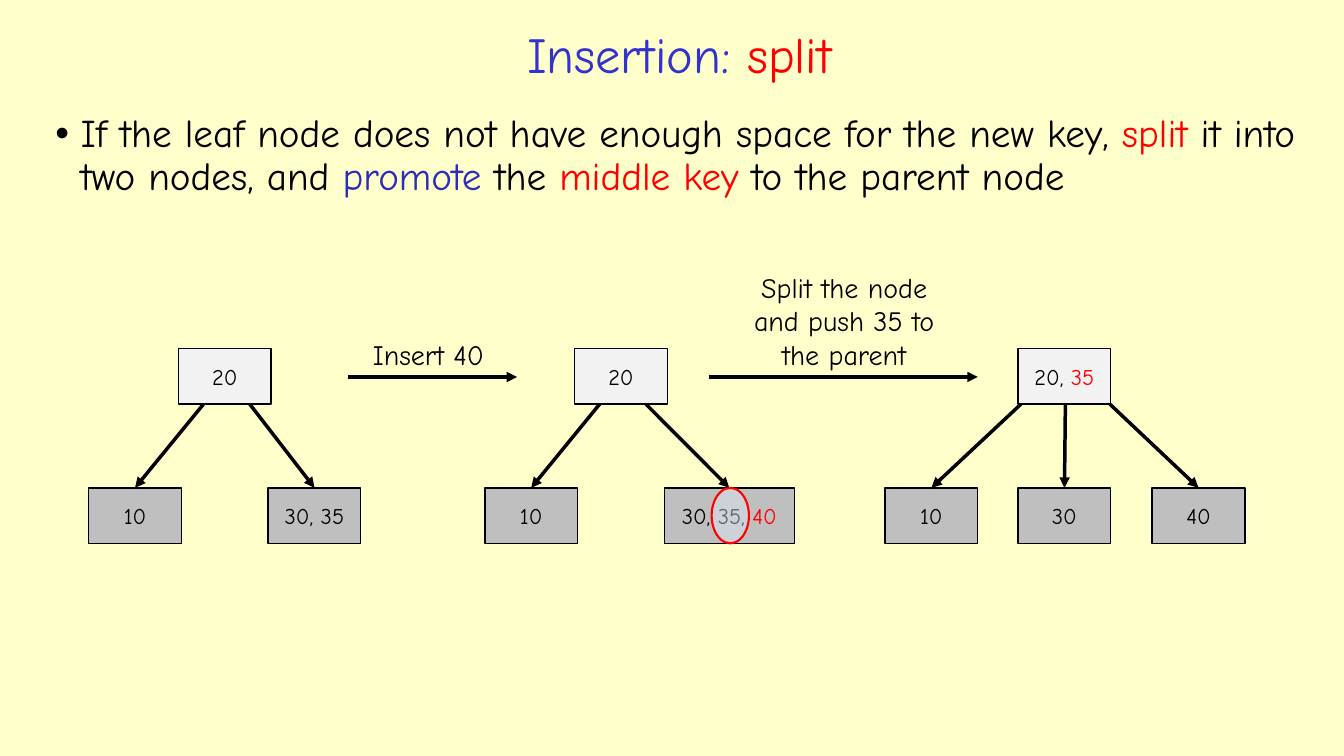
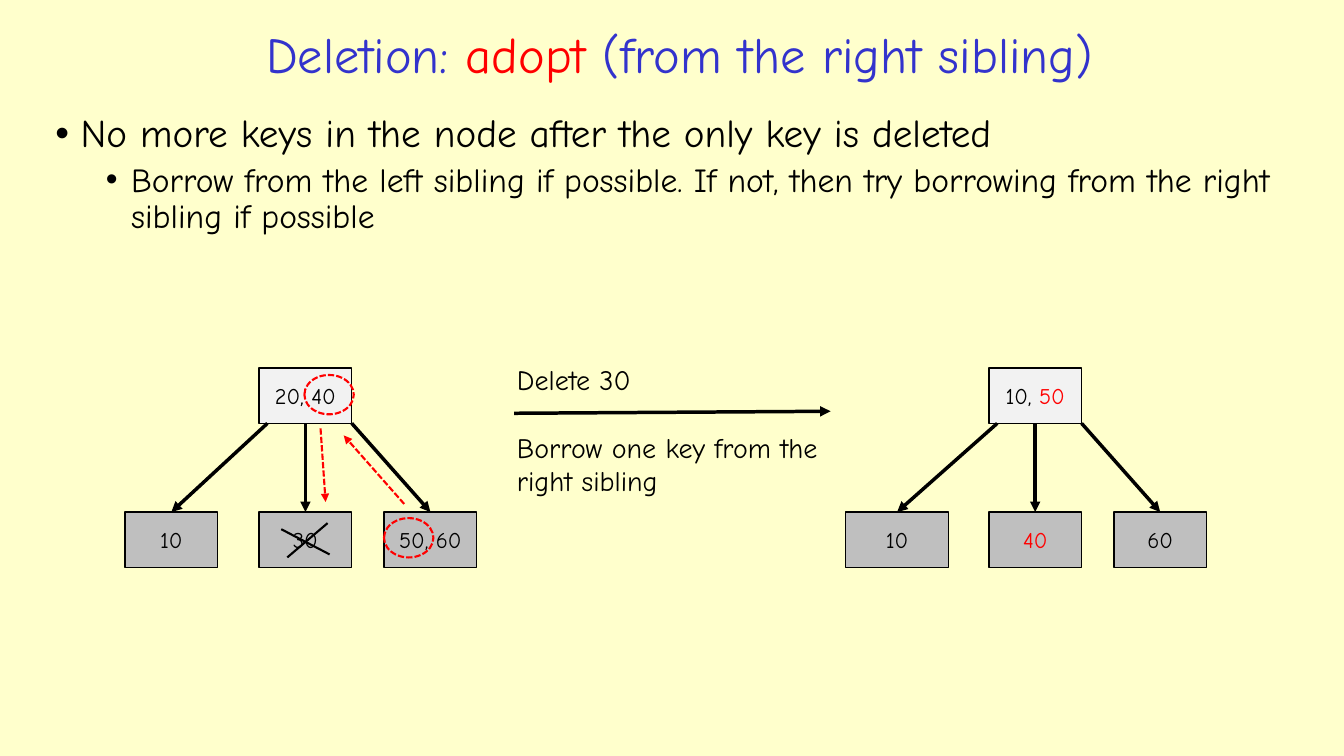
from lxml.etree import SubElement
from pptx import Presentation
from pptx.dml.color import RGBColor
from pptx.enum.dml import MSO_LINE as Dash
from pptx.enum.shapes import MSO_CONNECTOR as Link, MSO_SHAPE as Shape
from pptx.enum.text import MSO_ANCHOR as Anchor, MSO_AUTO_SIZE as Fit, PP_ALIGN as Align
from pptx.oxml.ns import qn
from pptx.util import Inches, Pt

COLOURS = {
    "paper": "FFFFCC", "ink": "000000", "title": "3333CC", "blue": "2D2DB9",
    "red": "FF0000", "root": "F2F2F2", "leaf": "BFBFBF", "veil": "DEEBF7",
}
FONT = "Comic Neue"
COLUMNS, ROWS = 133.33, 75
NODE_WIDTH, NODE_HEIGHT = 9.2, 5.5


def colour(name):
    return RGBColor.from_string(COLOURS[name])


def write(paragraph, text, size=20, ink="ink", align=Align.LEFT, before=0, spacing=1.0,
          level=0, bullet=False):
    paragraph.level = level
    paragraph.alignment = align
    paragraph.space_before = Pt(before)
    paragraph.space_after = Pt(0)
    paragraph.line_spacing = spacing
    if bullet:
        props = paragraph._p.get_or_add_pPr()
        props.set("marL", str(Inches(0.25 + 0.5 * level)))
        props.set("indent", str(Inches(-0.25)))
        SubElement(props, qn("a:buFont"), typeface="Arial")
        SubElement(props, qn("a:buChar"), char="•")
    for piece in [text] if isinstance(text, str) else text:
        words, tint = (piece, ink) if isinstance(piece, str) else piece
        run = paragraph.add_run()
        run.text = words
        run.font.name = FONT
        run.font.size = Pt(size)
        run.font.color.rgb = colour(tint)


class Lecture:
    def __init__(self):
        self.deck = Presentation()
        self.deck.slide_width, self.deck.slide_height = Inches(13.33), Inches(7.5)
        backdrop = self.deck.slide_master.background.fill
        backdrop.solid()
        backdrop.fore_color.rgb = colour("paper")
        self.slide = None

    def x(self, columns):
        return round(self.deck.slide_width * columns / COLUMNS)

    def y(self, rows):
        return round(self.deck.slide_height * rows / ROWS)

    def area(self, left, top, width, height):
        return self.x(left), self.y(top), self.x(width), self.y(height)

    def place(self, holder, *area):
        holder.left, holder.top, holder.width, holder.height = self.area(*area)
        frame = holder.text_frame
        frame.auto_size = Fit.NONE
        return frame

    def page(self, title, bullets):
        self.slide = self.deck.slides.add_slide(self.deck.slide_layouts[1])
        heading, body = self.slide.placeholders
        frame = self.place(heading, 19.7, 1.5, 95.4, 7.6)
        frame.vertical_anchor = Anchor.MIDDLE
        write(frame.paragraphs[0], title, size=36, ink="title", align=Align.CENTER)
        frame = self.place(body, 4.5, 10.8, 125.5, 15.3)
        for level, text in enumerate(bullets):
            paragraph = frame.add_paragraph() if level else frame.paragraphs[0]
            write(paragraph, text, size=28 - 4 * level, before=5 * level,
                  spacing=0.9, level=level, bullet=True)

    def label(self, area, lines, align=Align.LEFT, gap=0):
        frame = self.slide.shapes.add_textbox(*self.area(*area)).text_frame
        frame.word_wrap = True
        for index, line in enumerate(lines):
            paragraph = frame.add_paragraph() if index else frame.paragraphs[0]
            write(paragraph, line, align=align, before=gap if index else 0)

    def node(self, left, top, keys, fill, width=NODE_WIDTH):
        box = self.slide.shapes.add_shape(
            Shape.RECTANGLE, *self.area(left, top, width, NODE_HEIGHT))
        box.shadow.inherit = False
        box.fill.solid()
        box.fill.fore_color.rgb = colour(fill)
        box.line.color.rgb = colour("ink")
        box.line.width = Pt(1)
        box.text_frame.vertical_anchor = Anchor.MIDDLE
        write(box.text_frame.paragraphs[0], keys, size=16, align=Align.CENTER)

    def ring(self, *area, veiled=False):
        oval = self.slide.shapes.add_shape(Shape.OVAL, *self.area(*area))
        oval.shadow.inherit = False
        oval.line.color.rgb = colour("red")
        oval.line.width = Pt(1.5)
        if veiled:
            oval.fill.solid()
            oval.fill.fore_color.rgb = colour("veil")
            tint = oval._element.spPr.find(qn("a:solidFill"))[0]
            SubElement(tint, qn("a:alpha"), val="44000")
        else:
            oval.fill.background()
            oval.line.dash_style = Dash.SQUARE_DOT

    def line(self, start, end, ink="ink", weight=2.5, dashed=False, arrow=True):
        link = self.slide.shapes.add_connector(
            Link.STRAIGHT, self.x(start[0]), self.y(start[1]), self.x(end[0]), self.y(end[1]))
        link.line.color.rgb = colour(ink)
        link.line.width = Pt(weight)
        if dashed:
            link.line.dash_style = Dash.SQUARE_DOT
        props = link._element.spPr
        if arrow:
            SubElement(props.find(qn("a:ln")), qn("a:tailEnd"), type="triangle")
        SubElement(props, qn("a:effectLst"))

    def tree(self, left, top, leaf_top, root, exits, leaves):
        self.node(left, top, root, "root")
        for share, (leaf_left, keys, *wide) in zip(exits, leaves):
            width = wide[0] if wide else NODE_WIDTH
            self.node(leaf_left, leaf_top, keys, "leaf", width)
            self.line((left + share * NODE_WIDTH, top + NODE_HEIGHT),
                      (leaf_left + width / 2, leaf_top))


def insertion(lecture):
    lecture.page(
        ["Insertion: ", ("split", "red")],
        [["If the leaf node does not have enough space for the new key, ", ("split", "red"),
          " it into two nodes, and ", ("promote ", "blue"), "the ",
          ("middle key ", "red"), "to the parent node"]])
    root_top, leaf_top, step_row = 34.6, 48.4, 37.4
    pair, triple = (0.27, 0.77), (0.03, 0.51, 0.99)
    lecture.tree(17.7, root_top, leaf_top, "20", pair, [(8.8, "10"), (26.6, "30, 35")])
    lecture.tree(57, root_top, leaf_top, "20", pair,
                 [(48.1, "10"), (65.9, ["30, 35, ", ("40", "red")], 12.9)])
    lecture.tree(101, root_top, leaf_top, ["20, ", ("35", "red")], triple,
                 [(87.8, "10"), (101, "30"), (114.3, "40")])
    lecture.ring(70.6, leaf_top, 3.7, NODE_HEIGHT, veiled=True)
    lecture.line((34.5, step_row), (51.3, step_row))
    lecture.label((36, 33, 14.9, 4.4), ["Insert 40"])
    lecture.line((70.3, step_row), (97, step_row))
    lecture.label((70.6, 26.3, 26.3, 11.1),
                  ["Split the node", "and push 35 to", "the parent"], align=Align.CENTER)


def deletion(lecture):
    lecture.page(
        ["Deletion: ", ("adopt", "red"), " (from the right sibling)"],
        ["No more keys in the node after the only key is deleted",
         "Borrow from the left sibling if possible. If not, then try borrowing "
         "from the right sibling if possible"])
    root_top, leaf_top, exits = 36.5, 50.8, (0.09, 0.5, 1)
    lecture.tree(25.7, root_top, leaf_top, "20, 40", exits,
                 [(12.4, "10"), (25.7, "30"), (38.1, "50, 60")])
    lecture.tree(98.1, root_top, leaf_top, ["10, ", ("50", "red")], exits,
                 [(83.9, "10", 10.2), (98.1, [("40", "red")]), (110.5, "60")])
    lecture.line((51, 41), (82.4, 40.8))
    lecture.label((50.3, 35.5, 36.5, 14.5),
                  ["Delete 30", "Borrow one key from the right sibling"], gap=24)
    for start, end in (((27.9, 52.5), (32.7, 55)), ((32.5, 51.9), (28.5, 55.3))):
        lecture.line(start, end, weight=1.5, arrow=False)
    for left, top in ((38.1, 51.4), (30.2, 37.2)):
        lecture.ring(left, top, 4.9, 3.9)
    for start, end in (((40.1, 50), (34.1, 43.2)), ((31.8, 42.5), (32.3, 49.8))):
        lecture.line(start, end, ink="red", weight=1.5, dashed=True)


def main():
    lecture = Lecture()
    insertion(lecture)
    deletion(lecture)
    lecture.deck.save("out.pptx")


if __name__ == "__main__":
    main()
